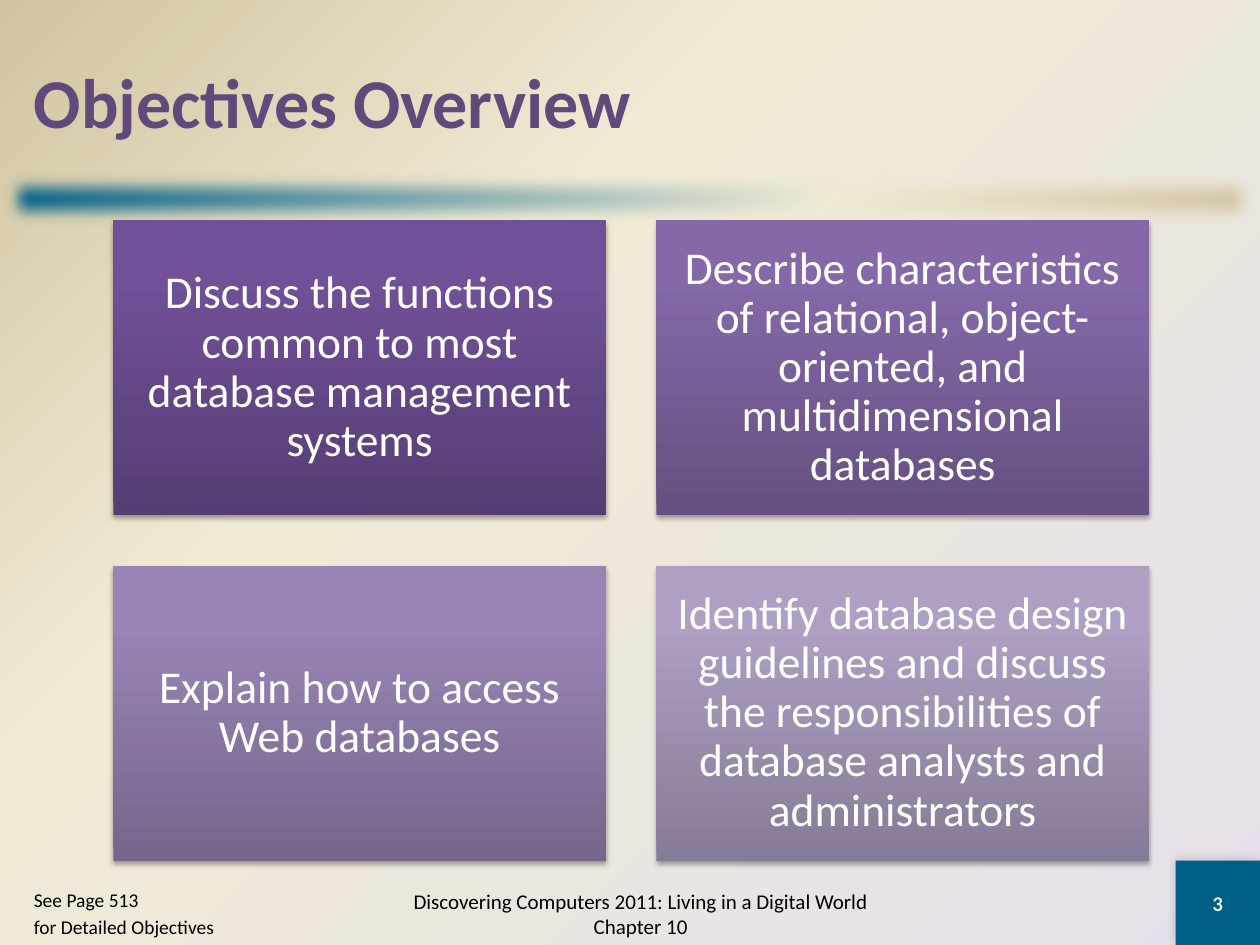
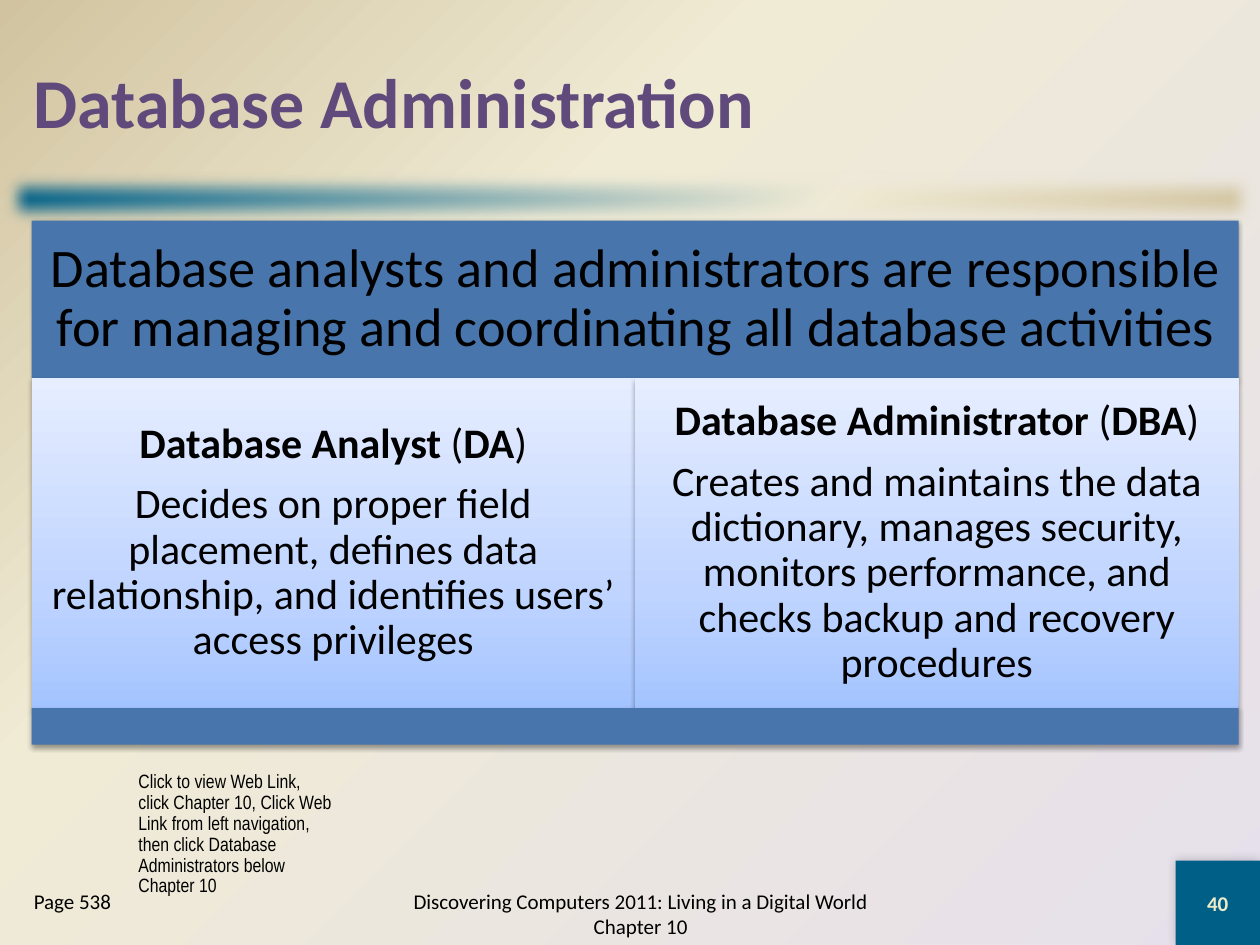
from lxml import etree
from pptx import Presentation
from pptx import util as u
from pptx.dml.color import RGBColor
from pptx.enum import shapes, text
from pptx.oxml.ns import qn

COLORS = {
    "title": "604A7B", "teal": "005F86", "cream": "F0EBD5", "sand": "D1C39F",
    "lilac": "E6E0EC", "page_number": "EEEBCA", "steel": "4875AC",
    "white": "FFFFFF", "black": "000000",
}
BACKDROP_STOPS = [(0, COLORS["lilac"]), (65, COLORS["cream"]), (100, COLORS["sand"])]
RULE_STOPS = [(0, COLORS["teal"]), (65, COLORS["cream"]), (100, COLORS["sand"])]
ROLE_STOPS = [(0, "A4C4FF"), (35, "BFD4FF"), (100, "E6EEFF")]
# Shadows: opacity %, blur pt, distance pt, direction in degrees
CORNER_SHADOW = (20, 6, 0, 225)
OBJECTIVE_SHADOW = (35, 3.1, 1.8, 90)
PANEL_SHADOW = (38, 3.1, 1.6, 90)
FOOTER = "Discovering Computers 2011: Living in a Digital World Chapter 10"
CENTER = text.PP_ALIGN.CENTER

OBJECTIVES = [
    ("Discuss the functions common to most database management systems",
     ("563D74", "705097", "704F99")),
    ("Describe characteristics of relational, object-oriented, and "
     "multidimensional databases", ("655081", "8468A8", "8467AA")),
    ("Explain how to access Web databases", ("75668B", "9884B5", "9984B7")),
    ("Identify database design guidelines and discuss the responsibilities of "
     "database analysts and administrators", ("867B96", "AE9FC3", "AE9FC4")),
]
ROLES = [
    ("Database Analyst", "DA",
     "Decides on proper field placement, defines data relationship, and "
     "identifies users’ access privileges"),
    ("Database Administrator", "DBA",
     "Creates and maintains the data dictionary, manages security, monitors "
     "performance, and checks backup and recovery procedures"),
]


def gradient(stops, angle=None):
    """Gradient fill: linear at a clockwise angle, or round from the lower right."""
    fill = etree.Element(qn("a:gradFill"), rotWithShape="1")
    stop_list = etree.SubElement(fill, qn("a:gsLst"))
    for position, color in stops:
        stop = etree.SubElement(stop_list, qn("a:gs"), pos=str(position * 1000))
        etree.SubElement(stop, qn("a:srgbClr"), val=color)
    if angle is None:
        round_path = etree.SubElement(fill, qn("a:path"), path="circle")
        etree.SubElement(round_path, qn("a:fillToRect"), l="100000", t="100000")
    else:
        etree.SubElement(fill, qn("a:lin"), ang=str(angle * 60000), scaled="0")
    return fill


def add_panel(slide, place, color=None, stops=None, angle=270, shadow=None):
    panel = slide.shapes.add_shape(
        shapes.MSO_SHAPE.RECTANGLE, *(u.Inches(length) for length in place))
    panel.fill.solid()
    if stops:
        properties = panel.element.spPr
        properties.replace(properties.find(qn("a:solidFill")), gradient(stops, angle))
    else:
        panel.fill.fore_color.rgb = RGBColor.from_string(color)
    panel.line.fill.background()
    panel.shadow.inherit = False
    if shadow:
        opacity, blur, distance, direction = shadow
        cast = etree.SubElement(
            effects_of(panel), qn("a:outerShdw"), blurRad=str(u.Pt(blur)),
            dist=str(u.Pt(distance)), dir=str(direction * 60000), rotWithShape="0")
        tint = etree.SubElement(cast, qn("a:srgbClr"), val=COLORS["black"])
        etree.SubElement(tint, qn("a:alpha"), val=str(opacity * 1000))
    return panel


def effects_of(panel):
    return panel.element.spPr.find(qn("a:effectLst"))


def write(holder, paragraphs, size, color=COLORS["black"], font="Calibri", align=None,
          middle=True, inset=None, line_spacing=None, gap=0):
    """Fill a shape with paragraphs, each a list of (words, bold) runs."""
    frame = holder.text_frame
    frame.word_wrap = True
    frame.vertical_anchor = text.MSO_ANCHOR.MIDDLE if middle else text.MSO_ANCHOR.TOP
    if inset is not None:
        frame.margin_left = frame.margin_right = u.Inches(inset)
        frame.margin_top = frame.margin_bottom = u.Inches(inset)
    for index, runs in enumerate(paragraphs):
        paragraph = frame.add_paragraph() if index else frame.paragraphs[0]
        paragraph.alignment = align or text.PP_ALIGN.LEFT
        paragraph.line_spacing = line_spacing
        if index:
            paragraph.space_before = u.Pt(gap)
        for words, bold in runs:
            for number, line in enumerate(words.split("\n")):
                if number:
                    paragraph.add_line_break()
                run = paragraph.add_run()
                run.text = line
                run.font.name = font
                run.font.size = u.Pt(size)
                run.font.bold = bold
                run.font.color.rgb = RGBColor.from_string(color)


def add_label(slide, place, paragraphs, size, **style):
    label = slide.shapes.add_textbox(*(u.Inches(length) for length in place))
    write(label, paragraphs, size, **style)


def add_base_slide(deck, title, page_number, page_note, note_size):
    """Slide with the shared backdrop, title, blurred rule and footers."""
    slide = deck.slides.add_slide(deck.slide_layouts[6])
    slide.background.fill.solid()
    backdrop = slide.element.find(".//" + qn("p:bgPr"))
    backdrop.replace(backdrop[0], gradient(BACKDROP_STOPS))

    rule = add_panel(slide, (0, 1.33, 10, 0.5), stops=RULE_STOPS, angle=45)
    etree.SubElement(effects_of(rule), qn("a:softEdge"), rad=str(u.Pt(10)))
    corner = add_panel(slide, (9.33, 6.83, 0.67, 0.67), COLORS["teal"],
                       shadow=CORNER_SHADOW)
    write(corner, [[(page_number, True)]], 12, COLORS["page_number"], align=CENTER)
    add_label(slide, (0.17, 0.17, 9.67, 1.25), [[(title, True)]], 40,
              color=COLORS["title"])
    add_label(slide, (3, 7, 4.17, 0.5), [[(FOOTER, False)]], 12, align=CENTER)
    add_label(slide, (0.17, 7, 1.83, 0.5), [[(line, False)] for line in page_note],
              note_size, middle=False, gap=2.2)
    return slide


def add_objectives(slide):
    width, height, gap = 3.91, 2.34, 0.4
    for index, (objective, shades) in enumerate(OBJECTIVES):
        row, column = divmod(index, 2)
        place = (0.9 + column * (width + gap), 1.75 + row * (height + gap), width, height)
        card = add_panel(slide, place, stops=list(zip((0, 80, 100), shades)),
                         shadow=OBJECTIVE_SHADOW)
        write(card, [[(objective, False)]], 26, COLORS["white"], align=CENTER,
              inset=0.11, line_spacing=0.9)


def add_roles(slide):
    left, width = 0.25, 9.58
    heading = add_panel(slide, (left, 1.75, width, 1.25), COLORS["steel"],
                        shadow=PANEL_SHADOW)
    write(heading, [[("Database analysts and administrators are responsible for managing "
                      "and coordinating all database activities", False)]],
          31, align=CENTER, inset=0.13, line_spacing=0.9)
    for index, (role, initials, duties) in enumerate(ROLES):
        place = (left + index * width / 2, 3, width / 2, 2.62)
        column = add_panel(slide, place, stops=ROLE_STOPS, shadow=PANEL_SHADOW)
        name = [(role, True), (" (", False), (initials, True), (")", False)]
        write(column, [name, [(duties, False)]], 24, align=CENTER, inset=0.1,
              line_spacing=0.9, gap=8.6)
    add_panel(slide, (left, 5.62, width, 0.29), COLORS["steel"], shadow=PANEL_SHADOW)


def main():
    deck = Presentation()
    deck.slide_width, deck.slide_height = u.Inches(10), u.Inches(7.5)

    overview = add_base_slide(deck, "Objectives Overview", "3",
                              ["See Page 513", "for Detailed Objectives"], 11.1)
    add_objectives(overview)

    administration = add_base_slide(deck, "Database Administration", "40",
                                    ["Page 538"], 12)
    add_roles(administration)
    web_link = ["Click to view Web Link,\nclick Chapter 10, Click Web\n"
                "Link from left navigation,",
                "then click Database Administrators below\nChapter 10"]
    add_label(administration, (1, 6.08, 1.92, 1.1),
              [[(lines, False)] for lines in web_link], 11, font="Arial Narrow",
              middle=False, line_spacing=0.9)
    deck.save("out.pptx")


if __name__ == "__main__":
    main()
